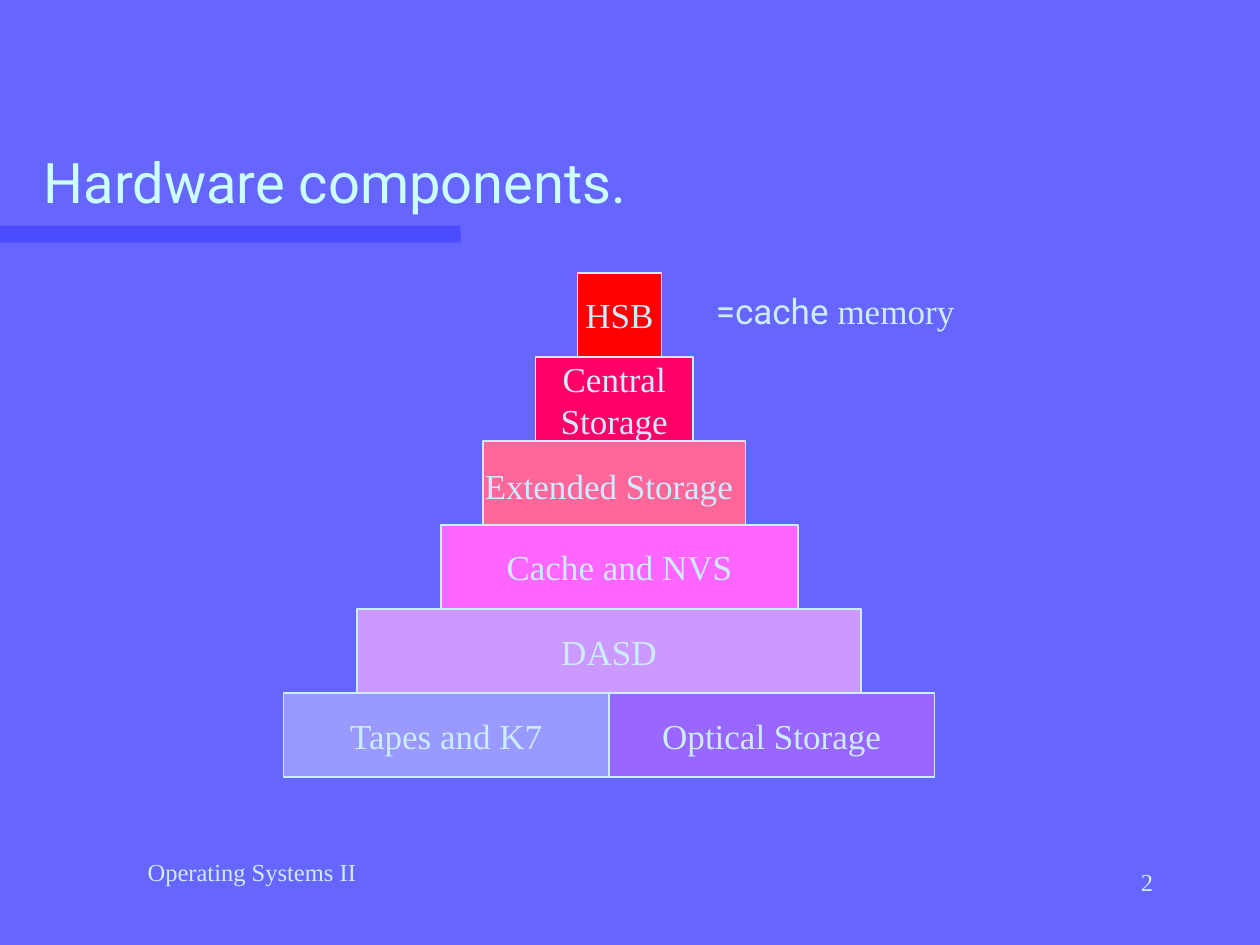
from dataclasses import dataclass

from lxml import etree
from pptx import Presentation
from pptx import util as u
from pptx.dml.color import RGBColor
from pptx.enum import shapes, text
from pptx.oxml.ns import qn

PX = u.Inches(1) // 96  # one px in EMU
LEFT, CENTER, RIGHT = text.PP_ALIGN.LEFT, text.PP_ALIGN.CENTER, text.PP_ALIGN.RIGHT


@dataclass(frozen=True)
class Theme:
    background: str = "6666FF"
    accent: str = "3333FF"
    title: str = "CCFFFF"
    ink: str = "CCECFF"
    sans: str = "Roboto"
    serif: str = "Times New Roman"
    title_size: int = 32
    body_size: int = 20
    wide_size: int = 24
    footer_size: int = 14


def rgb(code):
    return RGBColor.from_string(code)


def add_run(p, content, *, font, size, color):
    r = p.add_run()
    r.text = content
    r.font.name, r.font.size = font, u.Pt(size)
    r.font.color.rgb = rgb(color)


class Deck:
    def __init__(self, theme):
        self.theme = theme
        self.prs = Presentation()
        self.prs.slide_width, self.prs.slide_height = 960 * PX, 720 * PX
        self.s = self.prs.slides.add_slide(self.prs.slide_layouts[6])
        fill = self.s.background.fill
        fill.solid()
        fill.fore_color.rgb = rgb(theme.background)

    def rect(self, box, color, line=None, alpha=None):
        sp = self.s.shapes.add_shape(shapes.MSO_SHAPE.RECTANGLE, *(n * PX for n in box))
        sp.shadow.inherit = False
        sp.fill.solid()
        sp.fill.fore_color.rgb = rgb(color)
        if alpha is not None:
            clr = sp.fill._xPr.find(".//" + qn("a:srgbClr"))
            etree.SubElement(clr, qn("a:alpha"), val=str(alpha * 1000))
        if line:
            sp.line.color.rgb = rgb(line)
            sp.line.width = u.Pt(1)
        else:
            sp.line.fill.background()
        return sp

    def tier(self, box, color, lines):
        """A bordered block; each line is a list of (text, size) runs."""
        tf = self.rect(box, color, self.theme.ink).text_frame
        tf.word_wrap = False
        tf.vertical_anchor = text.MSO_ANCHOR.MIDDLE
        for i, runs in enumerate(lines):
            p = tf.paragraphs[0] if i == 0 else tf.add_paragraph()
            p.alignment = CENTER
            for content, size in runs:
                add_run(p, content, font=self.theme.serif, size=size, color=self.theme.ink)

    def label(self, box, runs, *, size, color, align=LEFT, anchor=text.MSO_ANCHOR.TOP):
        """A text box; runs are (text, font) pairs."""
        tf = self.s.shapes.add_textbox(*(n * PX for n in box)).text_frame
        tf.word_wrap = True
        tf.vertical_anchor = anchor
        p = tf.paragraphs[0]
        p.alignment = align
        for content, font in runs:
            add_run(p, content, font=font, size=size, color=color)


def main():
    t = Theme()
    deck = Deck(t)

    # Title and accent bar
    deck.rect((0, 172, 351, 13), t.accent, alpha=50)
    deck.label((24, 48, 816, 120), [("Hardware components.", t.sans)],
               size=t.title_size, color=t.title, anchor=text.MSO_ANCHOR.BOTTOM)

    # Storage pyramid: level from the top, left, width, colour, lines
    top, height, body = 208, 64, t.body_size
    tiers = [
        (5, 216, 248, "9999FF", [[("Tapes and K7", body)]]),
        (5, 464, 248, "9966FF", [[("Optical Storage", body)]]),
        (4, 272, 384, "CC99FF", [[("DASD", body)]]),
        (3, 336, 272, "FF66FF", [[("Cache and NVS", body)]]),
        (2, 368, 200, "FF6699", [[("Extended Storage", body), (" ", t.wide_size)]]),
        (1, 408, 120, "FF0066", [[("Central", body)], [("Storage", body)]]),
        (0, 440, 64, "FF0000", [[("HSB", body)]]),
    ]
    for level, left, width, color, lines in tiers:
        deck.tier((left, top + level * height, width, height), color, lines)

    # Note beside the top tier
    deck.label((536, 216, 344, 56), [("=cache ", t.sans), ("memory", t.serif)],
               size=body, color=t.ink)

    # Footer
    deck.label((40, 648, 304, 48), [("Operating Systems II", t.serif)],
               size=t.footer_size, color=t.ink, align=CENTER)
    deck.label((688, 656, 200, 48), [("2", t.serif)],
               size=t.footer_size, color=t.ink, align=RIGHT)

    deck.prs.save("out.pptx")


if __name__ == "__main__":
    main()
